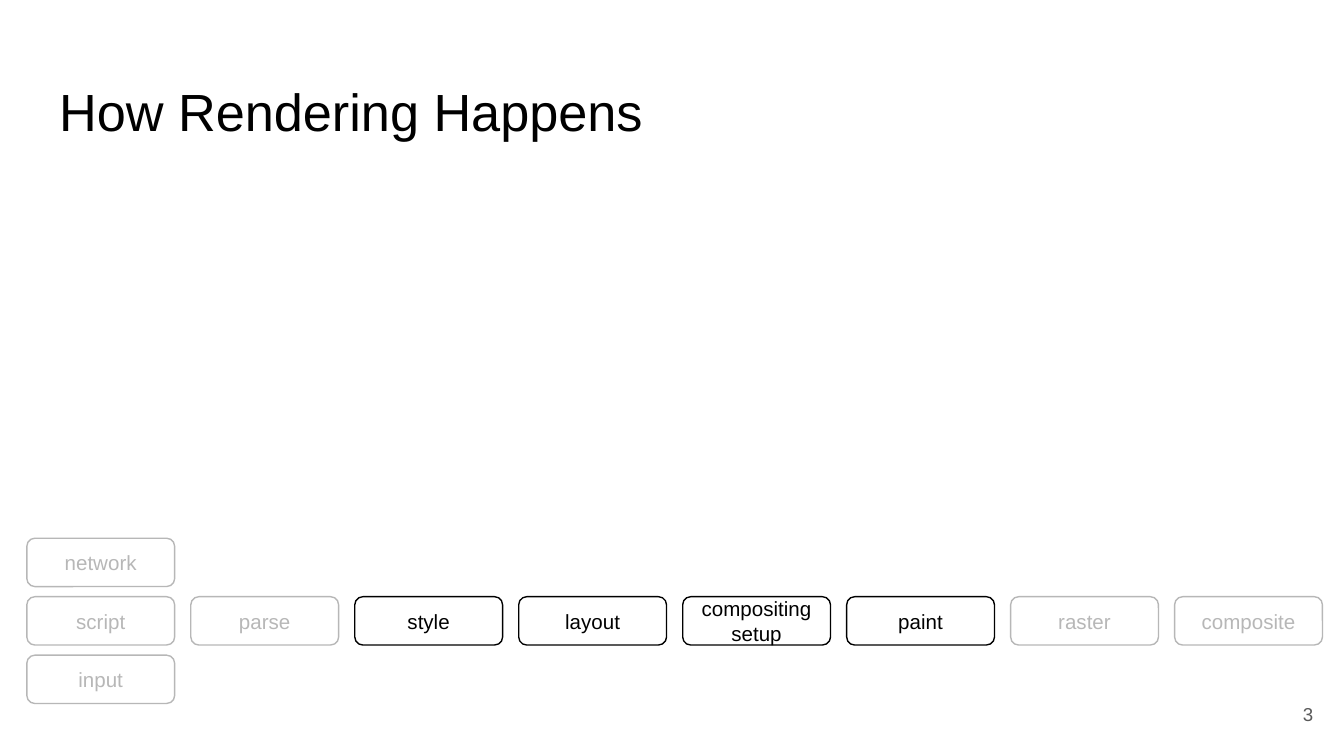
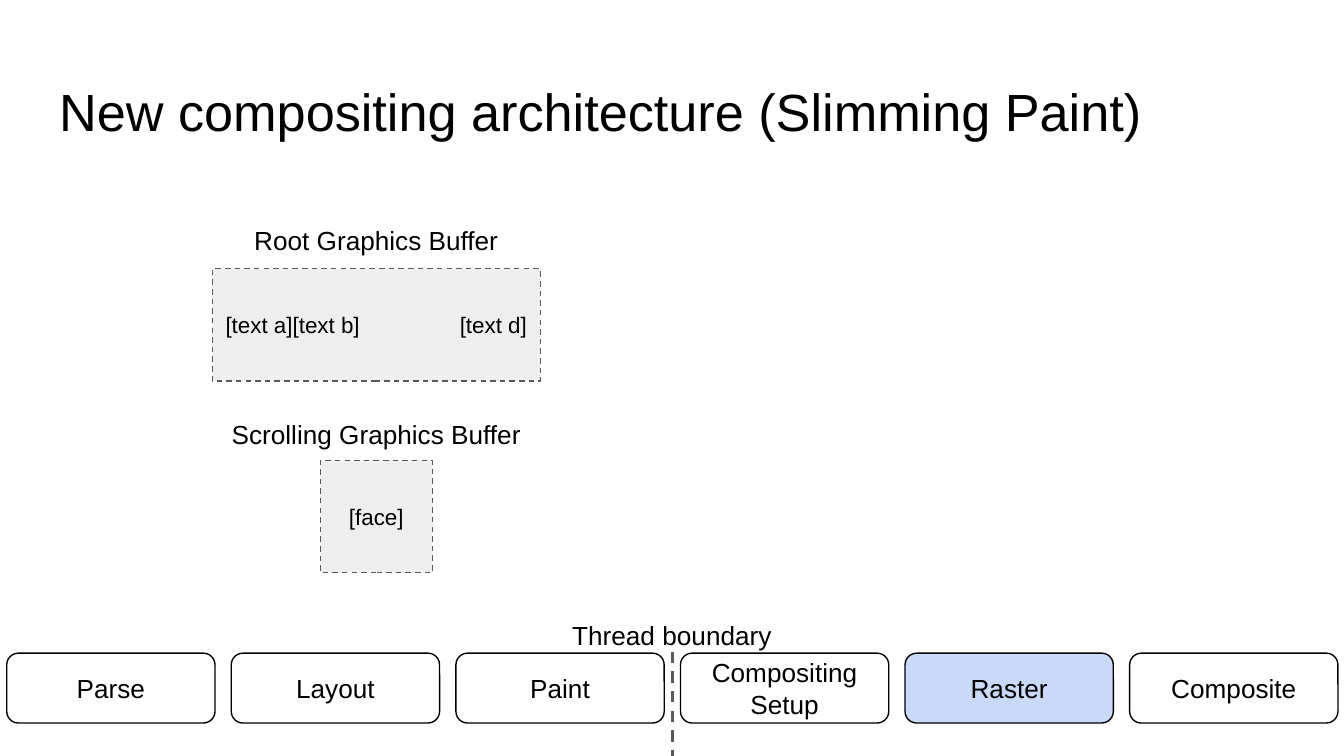
from lxml import etree
from pptx import Presentation
from pptx import util as u
from pptx.dml.color import RGBColor
from pptx.enum import dml, shapes, text
from pptx.oxml import ns

FONT = "Arial"
BLACK = RGBColor(0x00, 0x00, 0x00)
WHITE = RGBColor(0xFF, 0xFF, 0xFF)
FADED = RGBColor(0xB7, 0xB7, 0xB7)
DARK_GRAY = RGBColor(0x59, 0x59, 0x59)
BUFFER_GRAY = RGBColor(0xEE, 0xEE, 0xEE)
HIGHLIGHT = RGBColor(0xC9, 0xDA, 0xF8)

# Grid of square cells, 100 columns across the slide
CELL = u.Inches(0.1)
COLUMNS, ROWS = 100, 56.25

LEFT, CENTER, RIGHT = text.PP_ALIGN.LEFT, text.PP_ALIGN.CENTER, text.PP_ALIGN.RIGHT
TOP, MIDDLE, BOTTOM = text.MSO_ANCHOR.TOP, text.MSO_ANCHOR.MIDDLE, text.MSO_ANCHOR.BOTTOM


def cells(*lengths):
    return [round(length * CELL) for length in lengths]


class Deck:
    """Holds the shared style and the slide being built."""

    def __init__(self):
        self.presentation = Presentation()
        self.presentation.slide_width, self.presentation.slide_height = cells(COLUMNS, ROWS)

    def new_slide(self, title):
        self.slide = self.presentation.slides.add_slide(self.presentation.slide_layouts[5])
        self.shapes = self.slide.shapes
        placeholder = self.slide.shapes.title
        placeholder.left, placeholder.top, placeholder.width, placeholder.height = cells(
            3.4, 4.9, 93.2, 6.3)
        self.set_text(placeholder, title, 28, align=LEFT, anchor=TOP)

    def start_group(self):
        self.shapes = self.slide.shapes.add_group_shape().shapes

    def end_group(self):
        self.shapes = self.slide.shapes

    def set_text(self, shape, words, size, color=BLACK, align=CENTER, anchor=MIDDLE):
        frame = shape.text_frame
        frame.text = words
        frame.word_wrap = True
        frame.auto_size = text.MSO_AUTO_SIZE.NONE
        frame.vertical_anchor = anchor
        frame.margin_left = frame.margin_right = frame.margin_top = frame.margin_bottom = CELL
        for paragraph in frame.paragraphs:
            paragraph.alignment = align
            for run in paragraph.runs:
                run.font.name, run.font.size = FONT, u.Pt(size)
                run.font.color.rgb = color

    def label(self, area, words, size, **style):
        self.set_text(self.shapes.add_textbox(*cells(*area)), words, size, **style)

    def box(self, kind, area, line, fill=None):
        shape = self.shapes.add_shape(kind, *cells(*area))
        shape.shadow.inherit = False
        if fill is None:
            shape.fill.background()
        else:
            shape.fill.solid()
            shape.fill.fore_color.rgb = fill
        shape.line.color.rgb = line
        shape.line.width = u.Pt(0.75)
        return shape

    def stage(self, area, words, size, color=BLACK, fill=None):
        shape = self.box(shapes.MSO_SHAPE.ROUNDED_RECTANGLE, area, color, fill)
        self.set_text(shape, words, size, color)

    def buffer(self, area):
        shape = self.box(shapes.MSO_SHAPE.RECTANGLE, area, DARK_GRAY, BUFFER_GRAY)
        shape.line.dash_style = dml.MSO_LINE.DASH

    def dashed_line(self, column, top, bottom):
        line = self.shapes.add_connector(
            shapes.MSO_CONNECTOR.STRAIGHT, *cells(column, top, column, bottom))
        line.line.color.rgb = DARK_GRAY
        line.line.width = u.Pt(1.5)
        line.line.dash_style = dml.MSO_LINE.DASH
        etree.SubElement(line._element.spPr, ns.qn("a:effectLst"))


def rendering_slide(deck):
    deck.new_slide("How Rendering Happens")
    left, top, width, height = 2, 44.4, 11, 3.6
    column_pitch, row_pitch = 12.2, 4.35

    # Pipeline stages, the main-thread ones in black
    stages = ["parse", "style", "layout", "compositing\nsetup", "paint", "raster", "composite"]
    for column, name in enumerate(stages, start=1):
        color = BLACK if 2 <= column <= 5 else FADED
        deck.stage((left + column * column_pitch, top, width, height), name, 11, color)

    # Sources feeding the pipeline
    deck.start_group()
    for row, name in enumerate(["network", "script", "input"], start=-1):
        deck.stage((left, top + row * row_pitch, width, height), name, 11, FADED)
    deck.end_group()

    # Slide number
    deck.label((92.7, 51, 6, 4.3), "3", 10, color=DARK_GRAY, align=RIGHT)


def architecture_slide(deck):
    deck.new_slide("New compositing architecture (Slimming Paint)")

    # Pipeline stages
    stages = [("Parse", WHITE), ("Layout", WHITE), ("Paint", WHITE),
              ("Compositing\nSetup", WHITE), ("Raster", HIGHLIGHT), ("Composite", None)]
    for column, (name, fill) in enumerate(stages):
        deck.stage((0.5 + column * 16.71, 48.6, 15.5, 5.2), name, 14, fill=fill)

    # Thread boundary
    deck.start_group()
    deck.dashed_line(50.05, 48.5, ROWS)
    deck.label((39.3, 45, 21.4, 4.4), "Thread boundary", 14, anchor=BOTTOM)
    deck.end_group()

    # Graphics buffers
    left, width, side = 15.8, 24.4, 8.35
    root_top, scrolling_top = 20, 34.25
    deck.start_group()
    deck.buffer((left, root_top, width, side))
    deck.label((left, root_top - 6.5, width, 6.5), "Root Graphics Buffer", 14, anchor=BOTTOM)
    deck.label((left, root_top, 14.1, side), "[text a][text b]", 12, align=LEFT)
    deck.label((left + width - side, root_top, side, side), "[text d]", 12, align=RIGHT)

    face = (left + (width - side) / 2, scrolling_top, side, side)
    deck.label((left, scrolling_top - 6.3, width, 6.5), "Scrolling Graphics Buffer", 14,
               anchor=BOTTOM)
    deck.buffer(face)
    deck.label(face, "[face]", 12)
    deck.end_group()


def main():
    deck = Deck()
    rendering_slide(deck)
    architecture_slide(deck)
    deck.presentation.save("out.pptx")


if __name__ == "__main__":
    main()
